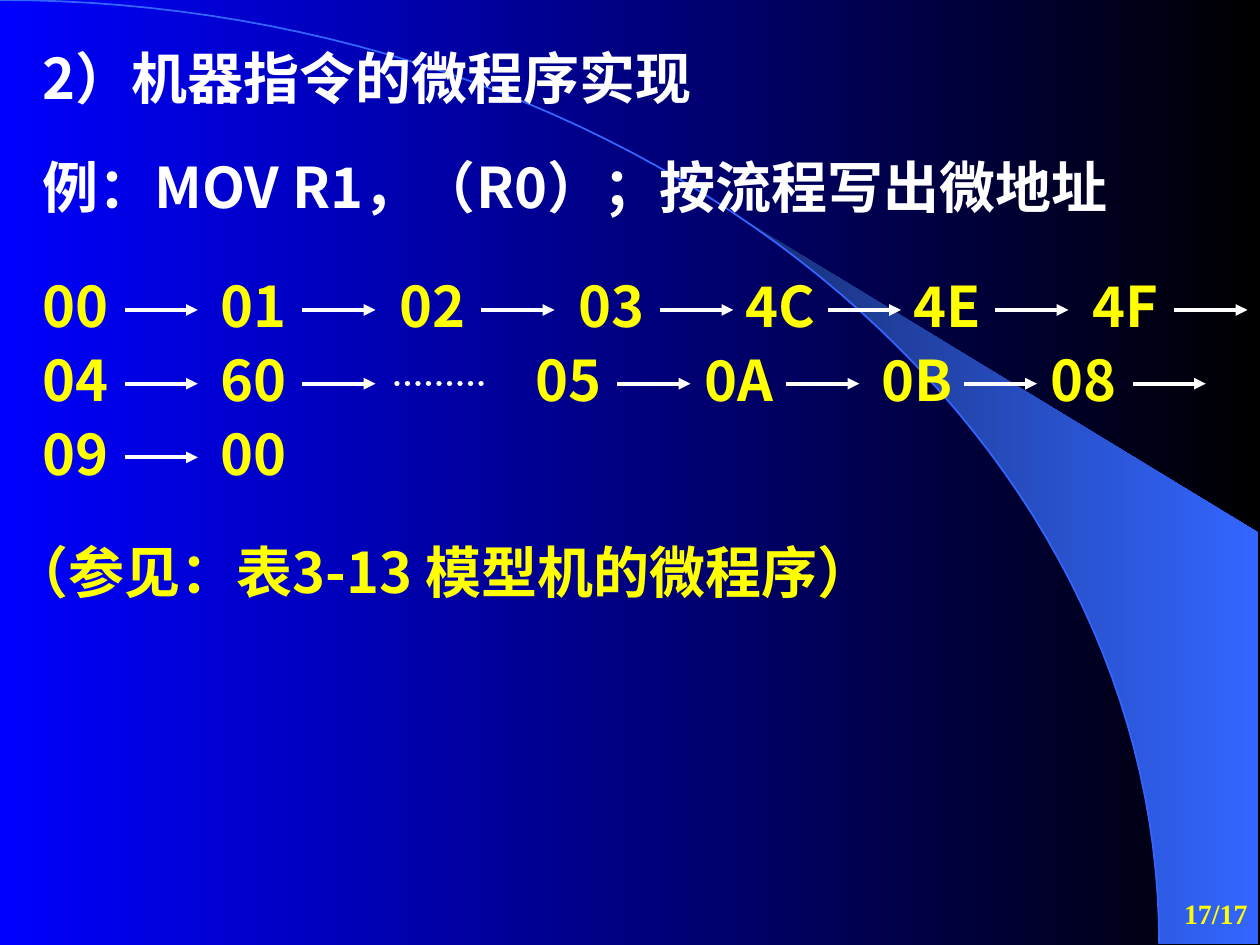
import math

from pptx import Presentation
from pptx import util as u
from pptx.dml.color import RGBColor
from pptx.enum import dml, shapes, text
from pptx.oxml.ns import qn
from lxml import etree

COLORS = {"blue": "0000FF", "black": "000000", "navy": "182F76",
          "azure": "3366FF", "yellow": "FFFF00", "white": "FFFFFF"}
CJK = "Noto Sans CJK SC"
RADIUS_X, RADIUS_Y = 9.2, 7.49

# Left edge of every micro-address, row by row
ADDRESS_ROWS = [
    [("00", 0.24), ("01", 1.65), ("02", 3.07), ("03", 4.49),
     ("4C", 5.82), ("4E", 7.15), ("4F", 8.57)],
    [("04", 0.24), ("60", 1.65), ("05", 4.15), ("0A", 5.49),
     ("0B", 6.9), ("08", 8.24)],
    [("09", 0.24), ("00", 1.65)],
]


def rgb(name):
    return RGBColor.from_string(COLORS[name])


def fade(fill, start, end):
    fill.gradient()
    fill.gradient_angle = 0
    for stop, name in zip(fill.gradient_stops, (start, end)):
        stop.color.rgb = rgb(name)


def arc_points(start, steps=60):
    """Points on the quarter ellipse from x = start down to its right end."""
    first = math.asin(start / RADIUS_X)
    angles = [first + (math.pi / 2 - first) * i / steps for i in range(steps + 1)]
    return [(RADIUS_X * math.sin(a), RADIUS_Y * (1 - math.cos(a))) for a in angles]


def add_outline(slide, points, close):
    emu = [(u.Inches(x), u.Inches(y)) for x, y in points]
    builder = slide.shapes.build_freeform(*emu[0])
    builder.add_line_segments(emu[1:], close=close)
    outline = builder.convert_to_shape()
    outline.shadow.inherit = False
    return outline


def add_backdrop(slide):
    fade(slide.background.fill, "blue", "black")
    # Beam right of the arc
    beam = add_outline(slide, arc_points(5.89) + [(9.99, 7.49), (9.99, 4.23)], True)
    fade(beam.fill, "navy", "azure")
    beam.line.fill.background()
    # Thin arc
    arc = add_outline(slide, arc_points(0), False)
    arc.fill.background()
    arc.line.color.rgb = rgb("azure")
    arc.line.width = u.Pt(1)


def add_text(parent, words, box, color, font=CJK, size=32, anchor=None, **paragraph_format):
    label = parent.shapes.add_textbox(*map(u.Inches, box))
    frame = label.text_frame
    frame.word_wrap = True
    if anchor is None:
        frame.auto_size = text.MSO_AUTO_SIZE.SHAPE_TO_FIT_TEXT
    else:
        frame.vertical_anchor = anchor
    paragraph = frame.paragraphs[0]
    for name, value in paragraph_format.items():
        setattr(paragraph, name, value)
    run = paragraph.add_run()
    run.text = words
    for name, value in {"name": font, "size": u.Pt(size), "bold": True}.items():
        setattr(run.font, name, value)
    run.font.color.rgb = rgb(color)
    latin = run.font._element.find(qn("a:latin"))
    east_asian = etree.Element(qn("a:ea"), typeface=font)
    latin.addnext(east_asian)


def add_line(parent, left, right, y, width):
    line = parent.shapes.add_connector(
        shapes.MSO_CONNECTOR.STRAIGHT, *map(u.Inches, (left, y, right, y)))
    line.line.color.rgb = rgb("white")
    line.line.width = u.Pt(width)
    etree.SubElement(line._element.spPr, qn("a:effectLst"))
    return line


def add_step(slide, address, left, top, arrow=True):
    step = slide.shapes.add_group_shape() if arrow else slide
    add_text(step, address, (left, top, 1.67, 0.53), "yellow",
             line_spacing=0.8, space_before=u.Pt(20))
    if arrow:
        link = add_line(step, left + 0.75, left + 1.33, top + 0.25, 2.25)
        etree.SubElement(link.line._get_or_add_ln(), qn("a:tailEnd"), type="triangle")


def add_flow(slide, top, row_pitch=0.585):
    for row, addresses in enumerate(ADDRESS_ROWS):
        for column, (address, left) in enumerate(addresses):
            last = row == len(ADDRESS_ROWS) - 1 and column == len(addresses) - 1
            add_step(slide, address, left, top + row * row_pitch, arrow=not last)
    # Dots for the skipped addresses
    dots = add_line(slide, 3.15, 3.9, top + row_pitch + 0.25, 3)
    dots.line.dash_style = dml.MSO_LINE.ROUND_DOT
    dots.line._get_or_add_ln().set("cap", "rnd")


def add_headings(slide, left):
    for words, top, width in (("2）机器指令的微程序实现", 0.44, 6.92),
                              ("例：MOV R1，（R0）；按流程写出微地址", 1.31, 10)):
        add_text(slide, words, (left, top, width, 0.48), "white",
                 line_spacing=0.7, space_before=u.Pt(20))


def main():
    deck = Presentation()
    deck.slide_width, deck.slide_height = u.Inches(10), u.Inches(7.5)
    slide = deck.slides.add_slide(deck.slide_layouts[6])
    add_backdrop(slide)
    # Page number
    add_text(slide, "17/17", (7.92, 7, 2.08, 0.5), "yellow", "Times New Roman", 16,
             text.MSO_ANCHOR.MIDDLE, alignment=text.PP_ALIGN.RIGHT)
    add_headings(slide, 0.24)
    add_flow(slide, 2.21)
    # Reference to the table
    add_text(slide, "（参见：表3-13 模型机的微程序）", (0, 4.22, 7.25, 0.64), "yellow")
    deck.save("out.pptx")


if __name__ == "__main__":
    main()
